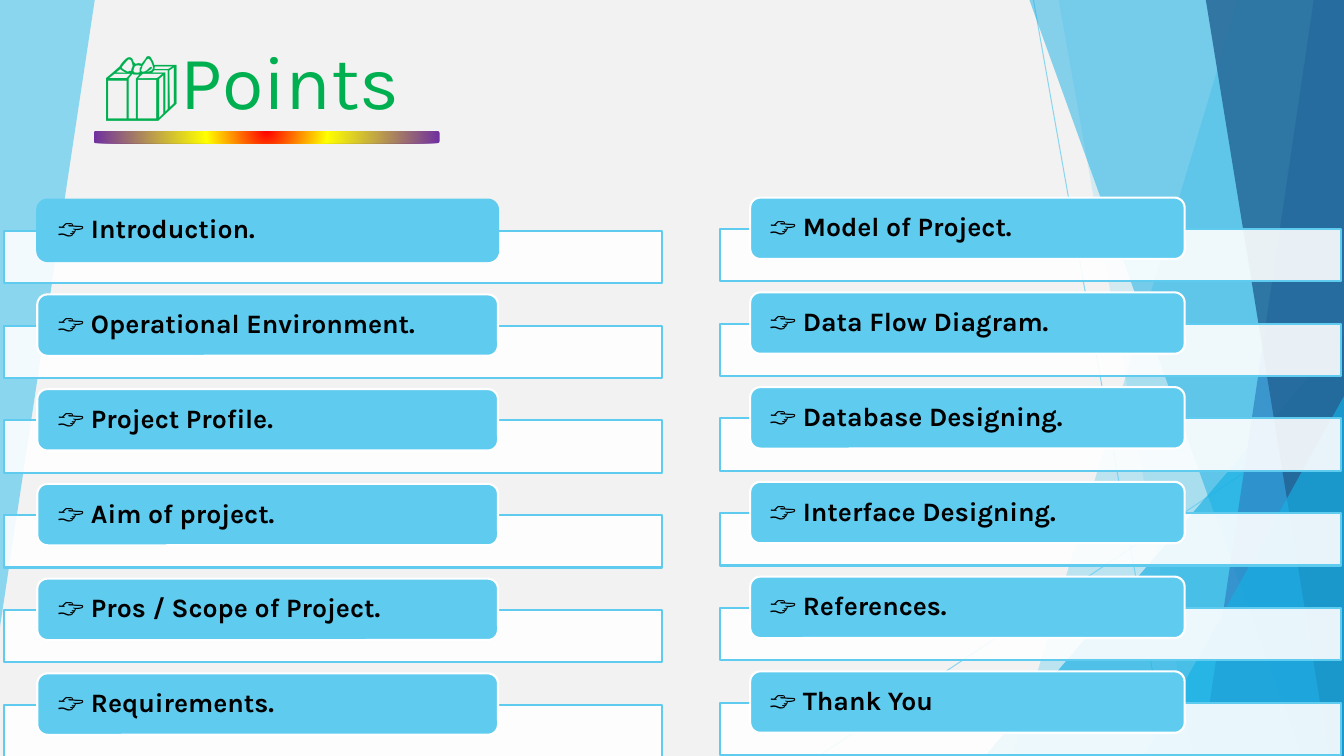
from dataclasses import dataclass

from lxml.etree import SubElement
from pptx import Presentation
from pptx.dml.color import RGBColor
from pptx.enum.shapes import MSO_CONNECTOR, MSO_SHAPE
from pptx.enum.text import MSO_ANCHOR, PP_ALIGN
from pptx.oxml import parse_xml
from pptx.oxml.ns import nsdecls, qn
from pptx.util import Inches, Pt


@dataclass(frozen=True)
class Theme:
    font: str = "Karla"
    title_size: int = 54
    item_size: int = 19
    background: str = "F2F2F2"
    sky: str = "5FCBEF"
    cyan: str = "17B0E4"
    blue: str = "2E83C3"
    navy: str = "226292"
    white: str = "FFFFFF"
    text: str = "000000"
    title: str = "00B050"


@dataclass(frozen=True)
class ListColumn:
    bar_left: float
    bar_top: float
    bar_width: float
    button_left: float
    button_width: float
    inset: float
    items: tuple


THEME = Theme()
WIDTH, HEIGHT = 13.33, 7.5
ROW_PITCH = 0.94
BUTTON_RISE = 0.31

FACETS_BEHIND = [
    ([(12.28, 0), (WIDTH, 0), (WIDTH, HEIGHT), (10.04, HEIGHT)], THEME.sky, 36),
    ([(10.5, 0), (WIDTH, 0), (WIDTH, HEIGHT), (11.83, HEIGHT)], THEME.sky, 20),
]
FACETS_FRONT = [
    ([(10.21, 0), (WIDTH, 0), (WIDTH, HEIGHT), (12.91, HEIGHT)], THEME.cyan, 50),
    ([(13.03, 0), (WIDTH, 0), (WIDTH, HEIGHT), (11.92, HEIGHT)], THEME.blue, 70),
    ([(11.96, 0), (WIDTH, 0), (WIDTH, HEIGHT), (13.18, HEIGHT)], THEME.navy, 80),
]
COLUMNS = [
    ListColumn(0.04, 2.29, 6.53, 0.37, 4.57, 0.2, (
        "Introduction.", "Operational Environment.", "Project Profile.",
        "Aim of project.", "Pros / Scope of Project.", "Requirements.")),
    ListColumn(7.14, 2.27, 6.16, 7.44, 4.31, 0.19, (
        "Model of Project.", "Data Flow Diagram.", "Database Designing.",
        "Interface Designing.", "References.", "Thank You")),
]


def rgb(color):
    return RGBColor.from_string(color)


def set_opacity(shape, percent):
    """Apply opacity to the first colour of a shape or connector."""
    color = next(shape.element.spPr.iter(qn("a:srgbClr")))
    SubElement(color, qn("a:alpha")).set("val", str(percent * 1000))


def style(shape, fill, opacity=100, line=None):
    shape.shadow.inherit = False
    shape.fill.solid()
    shape.fill.fore_color.rgb = rgb(fill)
    if opacity < 100:
        set_opacity(shape, opacity)
    if line:
        shape.line.color.rgb = rgb(line)
        shape.line.width = Pt(1.5)
    else:
        shape.line.fill.background()


def add_preset(slide, kind, left, top, width, height):
    return slide.shapes.add_shape(
        kind, Inches(left), Inches(top), Inches(width), Inches(height))


def add_facet(slide, points, color, opacity):
    corners = [(Inches(x), Inches(y)) for x, y in points]
    builder = slide.shapes.build_freeform(*corners[0])
    builder.add_line_segments(corners[1:], close=True)
    style(builder.convert_to_shape(), color, opacity)


def add_corner_triangle(slide, left, top):
    triangle = add_preset(slide, MSO_SHAPE.ISOSCELES_TRIANGLE,
                          left, top, WIDTH - left, HEIGHT - top)
    triangle.adjustments[0] = 1.0
    style(triangle, THEME.cyan, 66)


def add_thin_line(slide, start, end):
    line = slide.shapes.add_connector(
        MSO_CONNECTOR.STRAIGHT, *map(Inches, start + end))
    line.line.color.rgb = rgb(THEME.sky)
    line.line.width = Pt(0.75)
    set_opacity(line, 70)
    SubElement(line.element.spPr, qn("a:effectLst"))


def add_background(slide):
    slide.background.fill.solid()
    slide.background.fill.fore_color.rgb = rgb(THEME.background)
    add_facet(slide, [(0, 0), (0.94, 0), (0, 6.22)], THEME.sky, 70)
    add_thin_line(slide, (10.25, 0), (11.58, HEIGHT))
    add_thin_line(slide, (WIDTH, 4.03), (8.12, HEIGHT))
    for facet in FACETS_BEHIND:
        add_facet(slide, *facet)
    add_corner_triangle(slide, 9.77, 3.33)
    for facet in FACETS_FRONT:
        add_facet(slide, *facet)
    add_corner_triangle(slide, 11.34, 3.93)


def add_run(paragraph, text, size, color, bold=False):
    run = paragraph.add_run()
    run.text = text
    run.font.name = THEME.font
    run.font.size = Pt(size)
    run.font.bold = bold
    run.font.color.rgb = rgb(color)


def add_list_item(slide, column, top, text, outline):
    bar = add_preset(slide, MSO_SHAPE.RECTANGLE,
                     column.bar_left, top, column.bar_width, 0.52)
    style(bar, THEME.white, 90, THEME.sky)
    button = add_preset(slide, MSO_SHAPE.ROUNDED_RECTANGLE, column.button_left,
                        top - BUTTON_RISE, column.button_width, 0.61)
    style(button, THEME.sky, line=outline)
    frame = button.text_frame
    frame.word_wrap = True
    frame.vertical_anchor = MSO_ANCHOR.MIDDLE
    frame.margin_left = frame.margin_right = Inches(column.inset - 0.03)
    frame.margin_top = frame.margin_bottom = 0
    paragraph = frame.paragraphs[0]
    paragraph.alignment = PP_ALIGN.LEFT
    paragraph.line_spacing = 0.9
    add_run(paragraph, f"👉 {text}", THEME.item_size, THEME.text, bold=True)


def add_list_column(slide, column, first_outline):
    for row, text in enumerate(column.items):
        outline = first_outline if row == 0 else THEME.white
        add_list_item(slide, column, column.bar_top + row * ROW_PITCH, text, outline)


def add_title(slide, text):
    box = slide.shapes.add_textbox(
        Inches(0.93), Inches(0.26), Inches(11.27), Inches(1.03))
    box.text_frame.word_wrap = True
    box.text_frame.vertical_anchor = MSO_ANCHOR.BOTTOM
    add_run(box.text_frame.paragraphs[0], text, THEME.title_size, THEME.title)


def add_rainbow_rule(slide):
    """Rounded rule with a radial red, yellow and purple gradient."""
    rule = add_preset(slide, MSO_SHAPE.ROUNDED_RECTANGLE, 0.93, 1.3, 3.43, 0.12)
    style(rule, THEME.white)
    stops = "".join(
        f'<a:gs pos="{position * 1000}"><a:srgbClr val="{color}"/></a:gs>'
        for position, color in ((0, "FF0000"), (35, "FFFF00"), (100, "7030A0")))
    gradient = parse_xml(
        f'<a:gradFill {nsdecls("a")} rotWithShape="1"><a:gsLst>{stops}</a:gsLst>'
        '<a:path path="circle"><a:fillToRect l="50000" t="-80000" r="50000"'
        ' b="180000"/></a:path></a:gradFill>')
    properties = rule.element.spPr
    properties.replace(properties.find(qn("a:solidFill")), gradient)


def main():
    presentation = Presentation()
    presentation.slide_width = Inches(WIDTH)
    presentation.slide_height = Inches(HEIGHT)
    slide = presentation.slides.add_slide(presentation.slide_layouts[6])
    add_background(slide)
    for column, first_outline in zip(COLUMNS, (THEME.sky, THEME.white)):
        add_list_column(slide, column, first_outline)
    add_title(slide, "🎁Points")
    add_rainbow_rule(slide)
    presentation.save("out.pptx")


if __name__ == "__main__":
    main()
